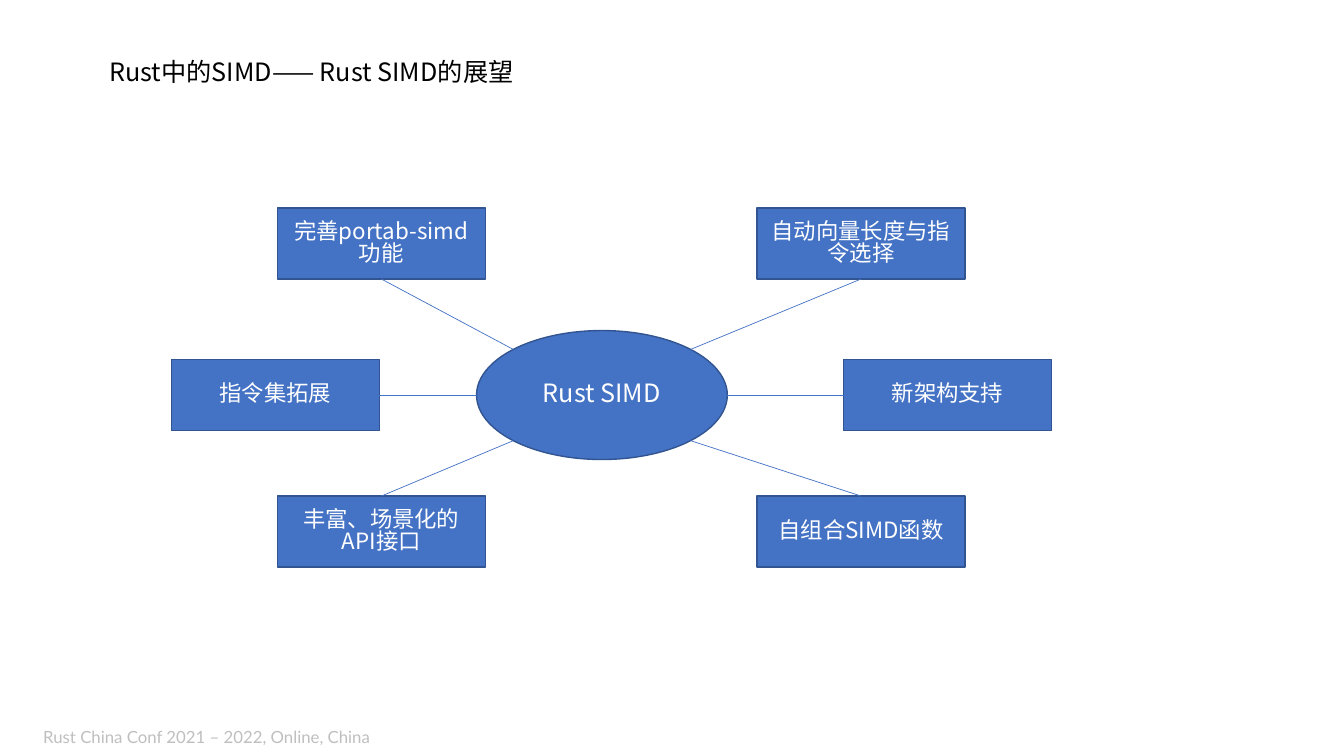
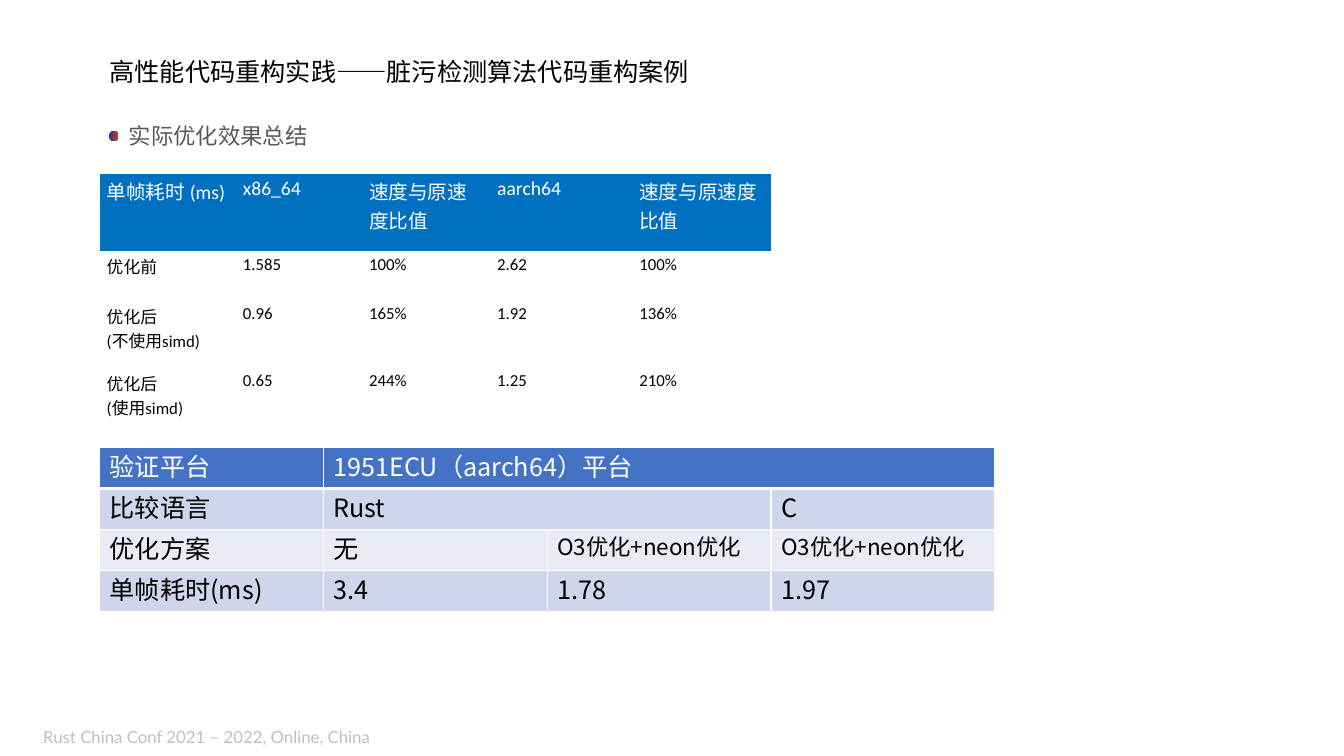
from dataclasses import dataclass
from math import sqrt
from typing import NamedTuple, Optional

from lxml import etree
from pptx import Presentation
from pptx.dml.color import RGBColor
from pptx.enum.shapes import MSO_CONNECTOR as Connector, MSO_SHAPE as Preset
from pptx.enum.text import MSO_ANCHOR as Anchor, PP_ALIGN as Align
from pptx.oxml.ns import qn
from pptx.util import Cm, Pt


# Theme
class TextStyle(NamedTuple):
    size: int
    color: str
    font: str = "Noto Sans CJK SC"
    spacing: float = 0.82


@dataclass(frozen=True)
class Theme:
    blue: str = "4472C4"
    outline: str = "325491"
    header: str = "0070C0"
    band_dark: str = "CFD5EA"
    band_light: str = "E9EBF5"
    white: str = "FFFFFF"
    bullet: tuple[str, str] = ("2A3289", "D0402E")
    east_asian: str = "Noto Sans CJK SC"
    no_table_style: str = "{2D5ABB26-0587-4C30-8999-92F81FD0307C}"
    footer: TextStyle = TextStyle(12, "BFBFBF", "Lato", 1)
    title: TextStyle = TextStyle(18, "000000")
    subtitle: TextStyle = TextStyle(16, "595959", spacing=1.23)
    hub: TextStyle = TextStyle(18, "FFFFFF")
    topic: TextStyle = TextStyle(16, "FFFFFF")
    timing_head: TextStyle = TextStyle(14, "FFFFFF", "Calibri", 1)
    timing_body: TextStyle = TextStyle(12, "000000", "Calibri", 1)
    platform_body: TextStyle = TextStyle(18, "000000")
    platform_small: TextStyle = TextStyle(16, "000000")


THEME = Theme()


class Box(NamedTuple):
    """Left, top, width and height in centimetres."""
    left: float
    top: float
    width: float
    height: float

    @property
    def center(self) -> tuple[float, float]:
        return self.left + self.width / 2, self.top + self.height / 2

    def lengths(self) -> tuple[Cm, ...]:
        return tuple(Cm(value) for value in self)


class Topic(NamedTuple):
    text: str
    left: float
    side: int   # -1 left of the hub, 1 right of it
    level: int  # -1 above the hub, 0 beside it, 1 below it


FOOTER_TEXT = "Rust China Conf 2021 – 2022, Online, China"
FOOTER_BOX = Box(0.84, 18.14, 10.87, 0.84)
MARGIN = 2.51

HUB_BOX = Box(12.01, 8.33, 6.32, 3.25)
TOPIC_WIDTH, TOPIC_HEIGHT = 5.24, 1.79
TOPIC_TOPS = {-1: 5.24, 0: 9.06, 1: 12.5}
TOPICS = (
    Topic("完善portab-simd功能", 6.99, -1, -1),
    Topic("指令集拓展", 4.32, -1, 0),
    Topic("丰富、场景化的API接口", 6.99, -1, 1),
    Topic("自动向量长度与指令选择", 19.08, 1, -1),
    Topic("新架构支持", 21.26, 1, 0),
    Topic("自组合SIMD函数", 19.08, 1, 1),
)

TIMING_COLUMNS = (3.43, 3.18, 3.23, 3.58, 3.51)
TIMING_HEIGHTS = (1.95, 1.25, 1.68, 1.75)
TIMING_ROWS = (
    ("单帧耗时 (ms)", "x86_64", "速度与原速度比值", "aarch64", "速度与原速度比值"),
    ("优化前", "1.585", "100%", "2.62", "100%"),
    ("优化后\n(不使用simd)", "0.96", "165%", "1.92", "136%"),
    ("优化后\n(使用simd)", "0.65", "244%", "1.25", "210%"),
)

# None continues the cell on its left
TUNED = "O3优化+neon优化"
PLATFORM_COLUMNS = (5.64,) * 4
PLATFORM_HEIGHTS = (1.03,) * 4
PLATFORM_ROWS = (
    ("验证平台", "1951ECU（aarch64）平台", None, None),
    ("比较语言", "Rust", None, "C"),
    ("优化方案", "无", TUNED, TUNED),
    ("单帧耗时(ms)", "3.4", "1.78", "1.97"),
)


# Text and shapes
def rgb(color: str) -> RGBColor:
    return RGBColor.from_string(color)


def write(frame, text: str, style: TextStyle, align: Align = Align.LEFT) -> None:
    frame.word_wrap = True
    for index, line in enumerate(text.split("\n")):
        paragraph = frame.add_paragraph() if index else frame.paragraphs[0]
        paragraph.alignment = align
        paragraph.line_spacing = style.spacing
        run = paragraph.add_run()
        run.text = line
        run.font.size = Pt(style.size)
        run.font.color.rgb = rgb(style.color)
        run.font.name = style.font
        etree.SubElement(run.font._element, qn("a:ea"), typeface=THEME.east_asian)


def add_text(slide, box: Box, text: str, style: TextStyle,
             anchor: Anchor = Anchor.TOP) -> None:
    frame = slide.shapes.add_textbox(*box.lengths()).text_frame
    frame.vertical_anchor = anchor
    write(frame, text, style)


def add_node(slide, preset: Preset, box: Box, text: str, style: TextStyle) -> None:
    shape = slide.shapes.add_shape(preset, *box.lengths())
    shape.shadow.inherit = False
    shape.fill.solid()
    shape.fill.fore_color.rgb = rgb(THEME.blue)
    shape.line.color.rgb = rgb(THEME.outline)
    shape.line.width = Pt(1)
    shape.text_frame.vertical_anchor = Anchor.MIDDLE
    write(shape.text_frame, text, style, Align.CENTER)


def add_line(slide, start: tuple[float, float], end: tuple[float, float]) -> None:
    points = [Cm(value) for value in (*start, *end)]
    line = slide.shapes.add_connector(Connector.STRAIGHT, *points)
    line.line.color.rgb = rgb(THEME.blue)
    line.line.width = Pt(0.5)
    etree.SubElement(line._element.spPr, qn("a:effectLst"))


def add_bullet(slide, box: Box) -> None:
    bullet = slide.shapes.add_shape(Preset.OVAL, *box.lengths())
    bullet.shadow.inherit = False
    bullet.line.fill.background()
    bullet.fill.gradient()
    bullet.fill.gradient_angle = 0
    for position, (stop, color) in enumerate(zip(bullet.fill.gradient_stops, THEME.bullet)):
        stop.position = position
        stop.color.rgb = rgb(color)


# Tables
def add_plain_table(slide, top: float, columns: tuple[float, ...],
                    heights: tuple[float, ...]):
    box = Box(MARGIN, top, sum(columns), sum(heights))
    table = slide.shapes.add_table(len(heights), len(columns), *box.lengths()).table
    table.first_row = table.horz_banding = False
    table._tbl.tblPr.find(qn("a:tableStyleId")).text = THEME.no_table_style
    for column, width in zip(table.columns, columns):
        column.width = Cm(width)
    for row, height in zip(table.rows, heights):
        row.height = Cm(height)
    return table


def fill_cell(cell, color: Optional[str]) -> None:
    if color is None:
        cell.fill.background()
    else:
        cell.fill.solid()
        cell.fill.fore_color.rgb = rgb(color)


def add_borders(cell, bottom: int = 1) -> None:
    properties = cell._tc.get_or_add_tcPr()
    for side, width in (("L", 1), ("R", 1), ("T", 1), ("B", bottom)):
        line = etree.SubElement(properties, qn(f"a:ln{side}"), w=str(Pt(width)))
        fill = etree.SubElement(line, qn("a:solidFill"))
        etree.SubElement(fill, qn("a:srgbClr"), val=THEME.white)


def add_timing_table(slide) -> None:
    table = add_plain_table(slide, 4.38, TIMING_COLUMNS, TIMING_HEIGHTS)
    for row, texts in enumerate(TIMING_ROWS):
        for column, text in enumerate(texts):
            cell = table.cell(row, column)
            cell.margin_left = cell.margin_right = Cm(0.18)
            cell.margin_top = cell.margin_bottom = Cm(0.08)
            fill_cell(cell, None if row else THEME.header)
            write(cell.text_frame, text, THEME.timing_body if row else THEME.timing_head)


def add_platform_table(slide) -> None:
    table = add_plain_table(slide, 11.28, PLATFORM_COLUMNS, PLATFORM_HEIGHTS)
    fills = (THEME.blue, THEME.band_dark, THEME.band_light, THEME.band_dark)
    for row, texts in enumerate(PLATFORM_ROWS):
        for column, text in enumerate(texts):
            cell = table.cell(row, column)
            add_borders(cell, bottom=1 if row else 3)
            fill_cell(cell, fills[row])
            if text is None:
                continue
            style = THEME.platform_body if row else THEME.hub
            write(cell.text_frame, text, THEME.platform_small if text == TUNED else style)
    table.cell(0, 1).merge(table.cell(0, 3))
    table.cell(1, 1).merge(table.cell(1, 2))


# Slides
def add_base_slide(presentation, title: str, title_width: float):
    slide = presentation.slides.add_slide(presentation.slide_layouts[6])
    add_text(slide, FOOTER_BOX, FOOTER_TEXT, THEME.footer, Anchor.MIDDLE)
    add_text(slide, Box(MARGIN, 1.42, title_width, 1.02), title, THEME.title)
    return slide


def add_topic(slide, topic: Topic) -> None:
    box = Box(topic.left, TOPIC_TOPS[topic.level], TOPIC_WIDTH, TOPIC_HEIGHT)
    add_node(slide, Preset.RECTANGLE, box, topic.text, THEME.topic)
    hub_x, hub_y = HUB_BOX.center
    x, y = box.center
    if topic.level:
        start = (x, y - topic.level * box.height / 2)
        reach = 1 / sqrt(2)  # diagonal point of the ellipse
    else:
        start = (x - topic.side * box.width / 2, hub_y)
        reach = 1
    end = (hub_x + topic.side * reach * HUB_BOX.width / 2,
           hub_y + topic.level * reach * HUB_BOX.height / 2)
    add_line(slide, start, end)


def add_outlook_slide(presentation) -> None:
    slide = add_base_slide(presentation, "Rust中的SIMD—— Rust SIMD的展望", 10.69)
    add_node(slide, Preset.OVAL, HUB_BOX, "Rust SIMD", THEME.hub)
    for topic in TOPICS:
        add_topic(slide, topic)


def add_results_slide(presentation) -> None:
    slide = add_base_slide(presentation, "高性能代码重构实践——脏污检测算法代码重构案例", 15.4)
    add_text(slide, Box(3, 2.79, 5.5, 1.27), "实际优化效果总结", THEME.subtitle)
    add_bullet(slide, Box(2.75, 3.31, 0.24, 0.24))
    add_timing_table(slide)
    add_platform_table(slide)


def main() -> None:
    presentation = Presentation()
    presentation.slide_width = Cm(33.87)
    presentation.slide_height = Cm(19.05)
    add_outlook_slide(presentation)
    add_results_slide(presentation)
    presentation.save("out.pptx")


if __name__ == "__main__":
    main()
